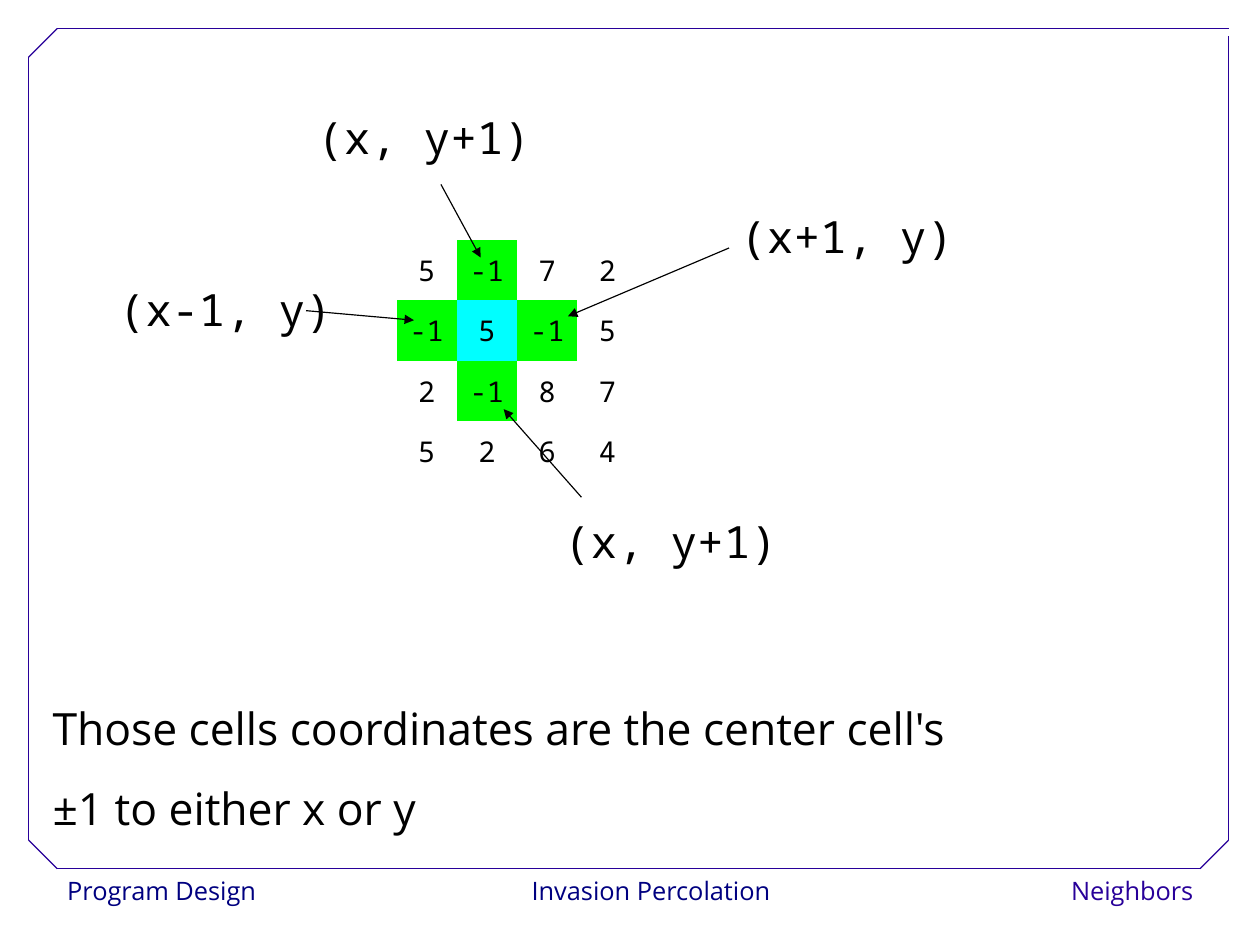
import pptx
import pptx.dml.color
import pptx.enum.shapes
import pptx.enum.text
import pptx.oxml.ns
import pptx.util
from lxml import etree

Pt = pptx.util.Pt
ALIGN = pptx.enum.text.PP_ALIGN
ANCHOR = pptx.enum.text.MSO_ANCHOR
COLORS = {"black": "000000", "white": "FFFFFF", "navy": "000080", "violet": "280099",
          "neighbor": "00FF00", "center": "00FFFF"}
SANS, MONO = "Open Sans", "Noto Sans Mono"
PLAIN_TABLE_STYLE = "{2D5ABB26-0587-4C30-8999-92F81FD0307C}"

CELL = 38
GRID = [[5, -1, 7, 2],
        [-1, 5, -1, 5],
        [2, -1, 8, 7],
        [5, 2, 6, 4]]
CENTER = (1, 1)
# Label text, label offset, arrow start and arrow end, all from the grid's top left corner
NEIGHBORS = [
    ("(x, y+1)", (-57, -86), (28, -35), (53, 11)),
    ("(x-1, y)", (-182, 22), (-57, 44.5), (11, 50.5)),
    ("(x+1, y)", (209.5, -24), (209.5, 5), (108, 48)),
    ("(x, y+1)", (98.5, 168.5), (116.5, 162), (67.5, 106.5)),
]


def rgb(name):
    return pptx.dml.color.RGBColor.from_string(COLORS[name])


def write(text_frame, text, size=28, font=SANS, color="black", align=ALIGN.LEFT, spacing=1.02):
    """Fill a text frame, one paragraph for each line of text."""
    text_frame.text = text
    for paragraph in text_frame.paragraphs:
        paragraph.alignment = align
        paragraph.line_spacing = spacing
        paragraph.font.size = Pt(size)
        paragraph.font.name = font
        paragraph.font.color.rgb = rgb(color)


def add_text(slide, box, text, **text_format):
    shape = slide.shapes.add_textbox(*map(Pt, box))
    shape.text_frame.word_wrap = False
    write(shape.text_frame, text, **text_format)
    return shape


def add_line(slide, start, end, color="black", arrow=False):
    connector = slide.shapes.add_connector(
        pptx.enum.shapes.MSO_CONNECTOR.STRAIGHT, *map(Pt, (*start, *end)))
    connector.line.color.rgb = rgb(color)
    connector.line.width = Pt(0.75)
    if arrow:
        etree.SubElement(connector.line._get_or_add_ln(),
                         pptx.oxml.ns.qn("a:tailEnd"), type="triangle")
    etree.SubElement(connector._element.spPr, pptx.oxml.ns.qn("a:effectLst"))


def add_footer(slide, left, top, width, height):
    parts = [
        ("Program Design", 0, 138, ALIGN.LEFT, "navy"),
        ("Invasion Percolation", (width - 172) / 2 + 13, 172, ALIGN.CENTER, "navy"),
        ("Neighbors", width - 101, 101, ALIGN.RIGHT, "violet"),
    ]
    for text, offset, part_width, align, color in parts:
        shape = add_text(slide, (left + offset, top, part_width, height), text,
                         size=16, color=color, align=align)
        shape.fill.solid()
        shape.fill.fore_color.rgb = rgb("white")


def add_frame(slide, left, top, width, height, cut=18, gap=5):
    """Draw the border with three cut corners and a small gap at the top right."""
    right, bottom = left + width, top + height
    outline = [(right, top), (left + cut, top), (left, top + cut), (left, bottom - cut),
               (left + cut, bottom), (right - cut, bottom), (right, bottom - cut),
               (right, top + gap)]
    for start, end in zip(outline, outline[1:]):
        add_line(slide, start, end, "violet")


def add_grid(slide, left, top):
    side = CELL * len(GRID)
    table = slide.shapes.add_table(len(GRID), len(GRID[0]),
                                   *map(Pt, (left, top, side, side))).table
    table.first_row = table.horz_banding = False
    table._tbl.tblPr.find(pptx.oxml.ns.qn("a:tableStyleId")).text = PLAIN_TABLE_STYLE
    for row, values in enumerate(GRID):
        for column, value in enumerate(values):
            cell = table.cell(row, column)
            write(cell.text_frame, str(value), size=18, font=MONO, align=ALIGN.CENTER)
            cell.vertical_anchor = ANCHOR.MIDDLE
            distance = abs(row - CENTER[0]) + abs(column - CENTER[1])
            if distance > 1:
                cell.fill.background()
            else:
                cell.fill.solid()
                cell.fill.fore_color.rgb = rgb("neighbor" if distance else "center")


def add_neighbor_diagram(slide, left, top):
    add_grid(slide, left, top)
    for text, label, start, end in NEIGHBORS:
        add_text(slide, (left + label[0], top + label[1], 155, 46), text, font=MONO)
        add_line(slide, (left + start[0], top + start[1]),
                 (left + end[0], top + end[1]), arrow=True)


def main():
    presentation = pptx.Presentation()
    presentation.slide_width = Pt(793.75)
    presentation.slide_height = Pt(595.25)
    slide = presentation.slides.add_slide(presentation.slide_layouts.get_by_name("Blank"))
    add_footer(slide, 35.3, 547.2, 723.6, 28.8)
    add_frame(slide, 18, 18, 756, 529.2)
    add_neighbor_diagram(slide, 249.8, 151.2)
    add_text(slide, (26, 421.2, 654.5, 108),
             "Those cells coordinates are the center cell's\n±1 to either x or y", spacing=1.5)
    presentation.save("out.pptx")


if __name__ == "__main__":
    main()
